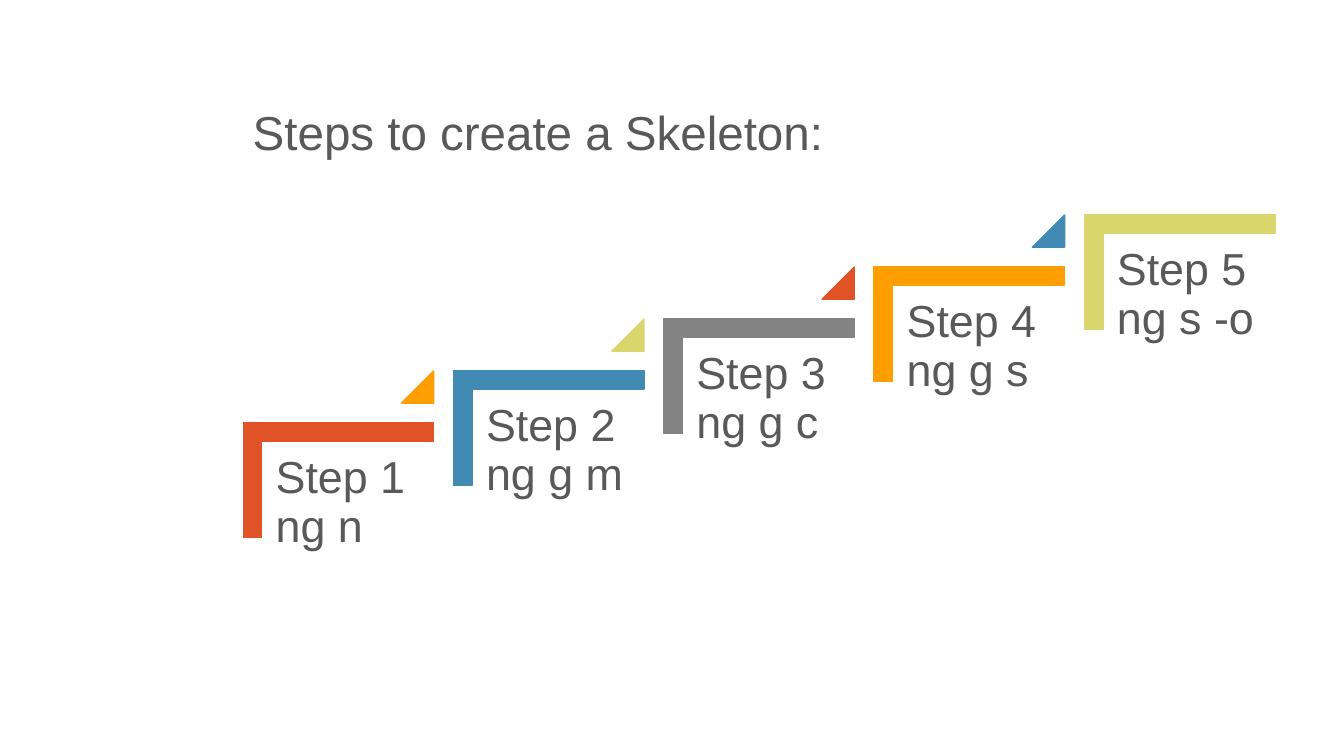
from pptx import Presentation
from pptx.dml.color import RGBColor
from pptx.enum.shapes import MSO_SHAPE
from pptx.enum.text import MSO_ANCHOR
from pptx.util import Cm, Pt

CORNER = MSO_SHAPE.CORNER
TRIANGLE = MSO_SHAPE.ISOSCELES_TRIANGLE
TOP, BOTTOM = MSO_ANCHOR.TOP, MSO_ANCHOR.BOTTOM

TITLE = "Steps to create a Skeleton:"
# label, command, corner colour, colour of the triangle leading to the next step
STEPS = [
    ("Step 1 ", "ng n", "red", "orange"),
    ("Step 2", "ng g m", "blue", "lime"),
    ("Step 3", "ng g c", "grey", "red"),
    ("Step 4", "ng g s", "orange", "blue"),
    ("Step 5", "ng s -o", "lime", None),
]

THEME = {
    "font": "Arial",
    "title_size": 34,
    "step_size": 32,
    "text": "595959",
    "red": "DF5327",
    "orange": "FE9E00",
    "blue": "418AB3",
    "lime": "D9D66D",
    "grey": "838383",
}

# Staircase geometry in centimetres
FIRST_X, FIRST_Y = 6.13, 10.65
STEP_X, STEP_Y = 5.3, -1.31
CORNER_W, CORNER_H = 4.8, 2.9
CORNER_THICKNESS = 0.16
TRIANGLE_SIZE, TRIANGLE_RISE = 0.81, 1.3
LABEL_OFFSET = 0.48
LABEL_W, LABEL_H = 4.34, 3.81


def add_text(slide, text, box, size, inset_x, inset_y, anchor):
    """Add a wrapped text box in the theme font; box is in centimetres."""
    sp = slide.shapes.add_textbox(*map(Cm, box))
    tf = sp.text_frame
    tf.text = text
    tf.word_wrap = True
    tf.vertical_anchor = anchor
    tf.margin_left = tf.margin_right = Cm(inset_x)
    tf.margin_top = tf.margin_bottom = Cm(inset_y)
    p = tf.paragraphs[0]
    p.line_spacing = 0.9
    for r in p.runs:
        r.font.name = THEME["font"]
        r.font.size = Pt(size)
        r.font.color.rgb = RGBColor.from_string(THEME["text"])


def add_solid(slide, kind, box, color, adjustments):
    """Add a preset shape with fill and line in one theme colour."""
    sp = slide.shapes.add_shape(kind, *map(Cm, box))
    sp.shadow.inherit = False
    for i, value in enumerate(adjustments):
        sp.adjustments[i] = value
    rgb = RGBColor.from_string(THEME[color])
    sp.fill.solid()
    sp.fill.fore_color.rgb = rgb
    sp.line.color.rgb = rgb
    sp.line.width = Pt(1)
    return sp


def add_step(slide, x, y, label, command, color, next_color):
    """Add one stair: turned corner, label and optional triangle."""
    shift = (CORNER_W - CORNER_H) / 2
    corner = add_solid(slide, CORNER, (x + shift, y - shift, CORNER_H, CORNER_W),
                       color, [CORNER_THICKNESS] * 2)
    corner.rotation = 90
    add_text(slide, f"{label}\v{command}",
             (x + LABEL_OFFSET, y + LABEL_OFFSET, LABEL_W, LABEL_H),
             THEME["step_size"], 0.34, 0.34, TOP)
    if next_color:
        add_solid(slide, TRIANGLE,
                  (x + CORNER_W - TRIANGLE_SIZE, y - TRIANGLE_RISE,
                   TRIANGLE_SIZE, TRIANGLE_SIZE), next_color, [1])


def main():
    """Build the slide and save it."""
    prs = Presentation()
    prs.slide_width, prs.slide_height = Cm(33.87), Cm(19.05)
    slide = prs.slides.add_slide(prs.slide_layouts[6])
    add_text(slide, TITLE, (6.12, 0.84, 26.04, 3.33),
             THEME["title_size"], 0.25, 0.13, BOTTOM)
    for i, step in enumerate(STEPS):
        add_step(slide, FIRST_X + i * STEP_X, FIRST_Y + i * STEP_Y, *step)
    prs.save("out.pptx")


main()
